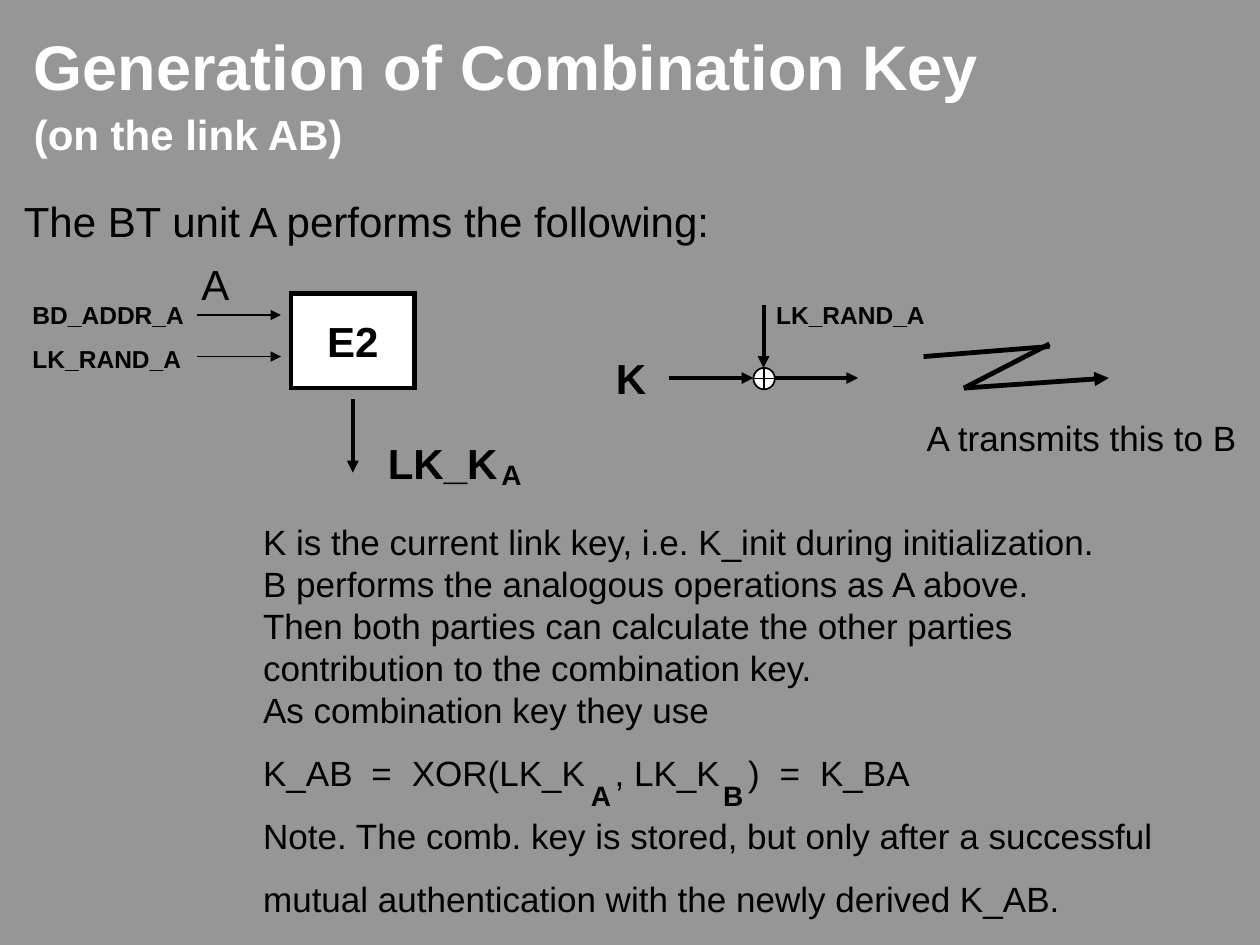
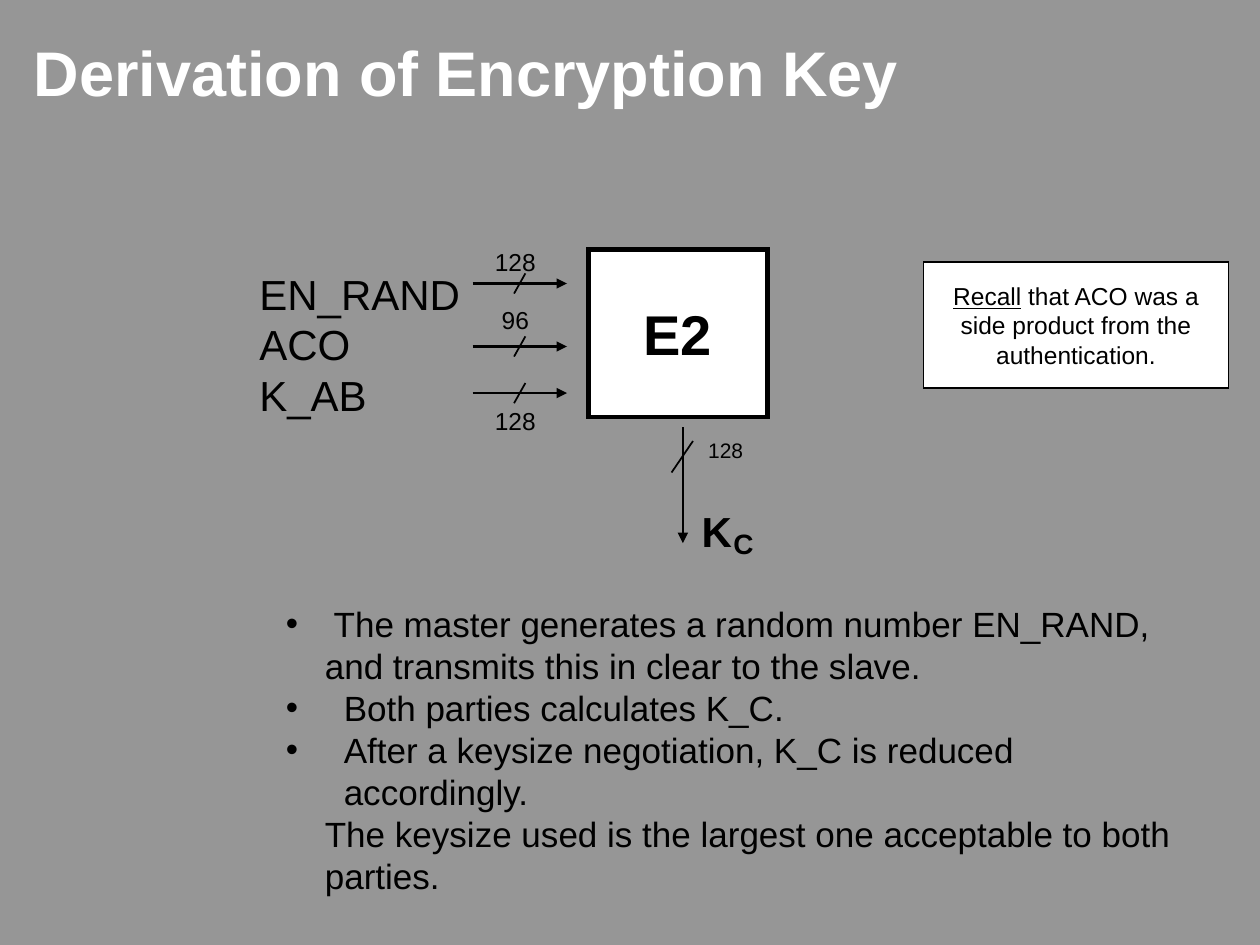
from lxml import etree
from pptx import Presentation
from pptx.dml.color import RGBColor
from pptx.enum.shapes import MSO_CONNECTOR, MSO_SHAPE
from pptx.enum.text import MSO_ANCHOR, PP_ALIGN
from pptx.oxml.ns import qn
from pptx.util import Inches, Pt

STRAIGHT = MSO_CONNECTOR.STRAIGHT
RECTANGLE, XOR_NODE = MSO_SHAPE.RECTANGLE, MSO_SHAPE.FLOWCHART_OR
MIDDLE = MSO_ANCHOR.MIDDLE
LEFT, CENTER = PP_ALIGN.LEFT, PP_ALIGN.CENTER

FONT = "Arial"
GRAY, BLACK, WHITE = "969696", "000000", "FFFFFF"


def rgb(value):
    return RGBColor.from_string(value)


def write(frame, lines, size=20, bold=False, color=BLACK, align=LEFT,
          wrap=False, spacing=None):
    frame.word_wrap = wrap
    frame.vertical_anchor = MIDDLE
    paragraphs = []
    for index, line in enumerate(lines):
        paragraph = frame.add_paragraph() if index else frame.paragraphs[0]
        paragraph.alignment = align
        if spacing:
            paragraph.line_spacing = spacing
        pieces = [(line, {})] if isinstance(line, str) else line
        for text, extra in pieces:
            if text == "\n":
                paragraph.add_line_break()
                continue
            run = paragraph.add_run()
            run.text = text
            font = run.font
            font.name, font.bold = FONT, bold
            font.size = Pt(extra.get("size", size))
            font.color.rgb = rgb(color)
            if extra.get("underline"):
                font.underline = True
        paragraphs.append(paragraph)
    return paragraphs


def label(slide, box, *lines, **style):
    area = slide.shapes.add_textbox(*map(Inches, box))
    return write(area.text_frame, lines, **style)


def white_shape(slide, kind, box, weight, *lines, **style):
    shape = slide.shapes.add_shape(kind, *map(Inches, box))
    shape.shadow.inherit = False
    shape.fill.solid()
    shape.fill.fore_color.rgb = rgb(WHITE)
    shape.line.color.rgb = rgb(BLACK)
    shape.line.width = Pt(weight)
    etree.SubElement(shape.line._get_or_add_ln(), qn("a:miter"), lim="800000")
    if lines:
        write(shape.text_frame, lines, align=CENTER, **style)


def stroke(slide, start, end, weight, arrow=True):
    line = slide.shapes.add_connector(STRAIGHT, *map(Inches, start + end))
    line.line.color.rgb = rgb(BLACK)
    line.line.width = Pt(weight)
    if arrow:
        etree.SubElement(line.line._get_or_add_ln(), qn("a:tailEnd"), type="triangle")
    etree.SubElement(line._element.spPr, qn("a:effectLst"))


def set_indent(paragraph, margin, bullet=False):
    properties = paragraph._p.get_or_add_pPr()
    properties.set("marL", str(Inches(margin)))
    properties.set("indent", str(-Inches(margin) if bullet else 0))
    if bullet:
        tint = etree.SubElement(properties, qn("a:buClr"))
        etree.SubElement(tint, qn("a:srgbClr"), val=BLACK)
        etree.SubElement(properties, qn("a:buFont"), typeface=FONT)
        etree.SubElement(properties, qn("a:buChar"), char="•")


def set_tabs(paragraph, stops):
    tabs = etree.SubElement(paragraph._p.get_or_add_pPr(), qn("a:tabLst"))
    for stop in stops:
        etree.SubElement(tabs, qn("a:tab"), pos=str(Inches(stop)), algn="l")


def titled_slide(prs, top, *title):
    slide = prs.slides.add_slide(prs.slide_layouts[6])
    slide.background.fill.solid()
    slide.background.fill.fore_color.rgb = rgb(GRAY)
    label(slide, (0.17, top, 8.25, 0.74), title, size=36, bold=True,
          color=WHITE, wrap=True, spacing=1.1)
    return slide


def subscript(slide, left, top, letter):
    label(slide, (left, top, 0.36, 0.37), letter, size=16, bold=True, align=CENTER)


def key_generator(slide, left, top):
    white_shape(slide, RECTANGLE, (left + 2.15, top + 0.33, 0.98, 0.75), 2.75,
                "E2", size=24, bold=True)
    inputs = label(slide, (left, top + 0.33, 1.4, 0.69), "BD_ADDR_A", "LK_RAND_A",
                   size=14, bold=True)
    inputs[1].line_spacing = 1.5
    for y in (top + 0.5, top + 0.83):
        stroke(slide, (left + 1.4, y), (left + 2.07, y), 1)
    label(slide, (left + 1.34, top, 0.42, 0.5), "A", size=24, align=CENTER)
    stroke(slide, (left + 2.64, top + 1.17), (left + 2.64, top + 1.75), 2.25)
    label(slide, (left + 2.82, top + 1.42, 1.07, 0.5), "LK_K", size=24, bold=True)
    subscript(slide, left + 3.72, top + 1.58, "A")


def masked_random(slide, left, top):
    axis = top + 0.67
    white_shape(slide, XOR_NODE, (left + 1.19, axis - 0.08, 0.17, 0.17), 1)
    label(slide, (left, axis - 0.25, 0.44, 0.5), "K", size=24, bold=True)
    for start, end in ((0.52, 1.19), (1.36, 2.02)):
        stroke(slide, (left + start, axis), (left + end, axis), 2.25)
    stroke(slide, (left + 1.27, top + 0.09), (left + 1.27, axis - 0.08), 2.25)
    label(slide, (left + 1.27, top, 1.38, 0.34), "LK_RAND_A",
          size=14, bold=True, align=CENTER)


def radio_transmission(slide, left, top):
    bend = (left + 0.4, top + 0.35)
    stroke(slide, (left + 0.08, top + 0.1), (left + 1.08, top + 0.02), 2.75, arrow=False)
    stroke(slide, bend, (left + 1.08, top), 2.75, arrow=False)
    stroke(slide, bend, (left + 1.55, top + 0.27), 2.75)
    label(slide, (left, top + 0.52, 2.67, 0.44), "A transmits this to B", align=CENTER)


def combination_notes(slide, left, top):
    notes = label(
        slide, (left, top, 7.4, 3.27),
        "K is the current link key, i.e. K_init during initialization.",
        "B performs the analogous operations as A above.",
        "Then both parties can calculate the other parties",
        "contribution to the combination key.",
        "As combination key they use",
        "K_AB\t=\tXOR(LK_K\t, LK_K\t)\t=\tK_BA",
        "Note. The comb. key is stored, but only after a successful",
        "mutual authentication with the newly derived K_AB.",
        wrap=True)
    for paragraph in notes[5:]:
        paragraph.line_spacing = 1.5
    set_tabs(notes[5], (0.86, 1.18, 2.79, 3.85, 4.1, 4.42))
    for offset, party in ((2.6, "A"), (3.65, "B")):
        subscript(slide, left + offset, top + 2.05, party)


def encryption_generator(slide, left, top):
    white_shape(slide, RECTANGLE, (left + 2.71, top + 0.07, 1.42, 1.33), 2.75,
                "E2", size=32, bold=True)
    label(slide, (left, top + 0.17, 1.79, 1.3), "EN_RAND", "ACO", "K_AB", size=24)
    arrow_left = left + 1.79
    for offset, bits_top, bits in ((0.34, 0, "128"), (0.84, 0.46, "96"),
                                   (1.21, 1.26, "128")):
        y = top + offset
        stroke(slide, (arrow_left, y), (arrow_left + 0.75, y), 1.5)
        stroke(slide, (arrow_left + 0.42, y - 0.08), (arrow_left + 0.33, y + 0.08),
               1, arrow=False)
        label(slide, (arrow_left - 0.01, top + bits_top, 0.7, 0.34), bits,
              size=14, align=CENTER)
    output = left + 3.46
    stroke(slide, (output, top + 1.48), (output, top + 2.4), 1.5)
    stroke(slide, (output + 0.08, top + 1.59), (output - 0.09, top + 1.84), 1, arrow=False)
    label(slide, (output + 0.04, top + 1.51, 0.6, 0.3), "128", size=12, align=CENTER)
    label(slide, (output + 0.05, top + 2.05, 0.44, 0.5), "K", size=24, bold=True)
    subscript(slide, output + 0.3, top + 2.22, "C")


def recall_note(slide, left, top):
    white_shape(slide, RECTANGLE, (left, top, 2.42, 1), 0.75,
                [("Recall", {"underline": True}), (" that ACO was a", {})],
                "side product from the", "authentication.", size=14)


def encryption_notes(slide, left, top):
    notes = (
        (0.38, True, "The master generates a random number EN_RAND,"),
        (0.31, False, "and transmits this in clear to the slave."),
        (0.46, True, "Both parties calculates K_C."),
        (0.46, True, "After a keysize negotiation, K_C is reduced accordingly."),
        (0.31, False, "The keysize used is the largest one acceptable to both"),
        (0.31, False, "parties."),
    )
    paragraphs = label(slide, (left, top, 7.35, 2.5), *(note[2] for note in notes), wrap=True)
    for paragraph, (margin, bullet, _) in zip(paragraphs, notes):
        set_indent(paragraph, margin, bullet)


def combination_key_slide(prs):
    slide = titled_slide(prs, 0.34, ("Generation of Combination Key", {}),
                         ("\n", {}), ("(on the link AB)", {"size": 24}))
    label(slide, (0.09, 1.5, 5.68, 0.5), "The BT unit A performs the following:", size=24)
    key_generator(slide, 0.16, 2)
    masked_random(slide, 4.79, 2.33)
    radio_transmission(slide, 7.25, 2.73)
    combination_notes(slide, 1.99, 4.08)


def encryption_key_slide(prs):
    slide = titled_slide(prs, 0.17, ("Derivation of Encryption Key", {}))
    encryption_generator(slide, 1.96, 1.91)
    recall_note(slide, 7.33, 2.08)
    encryption_notes(slide, 2.17, 4.7)


def main():
    prs = Presentation()
    prs.slide_width, prs.slide_height = Inches(10), Inches(7.5)
    combination_key_slide(prs)
    encryption_key_slide(prs)
    prs.save("out.pptx")


if __name__ == "__main__":
    main()
